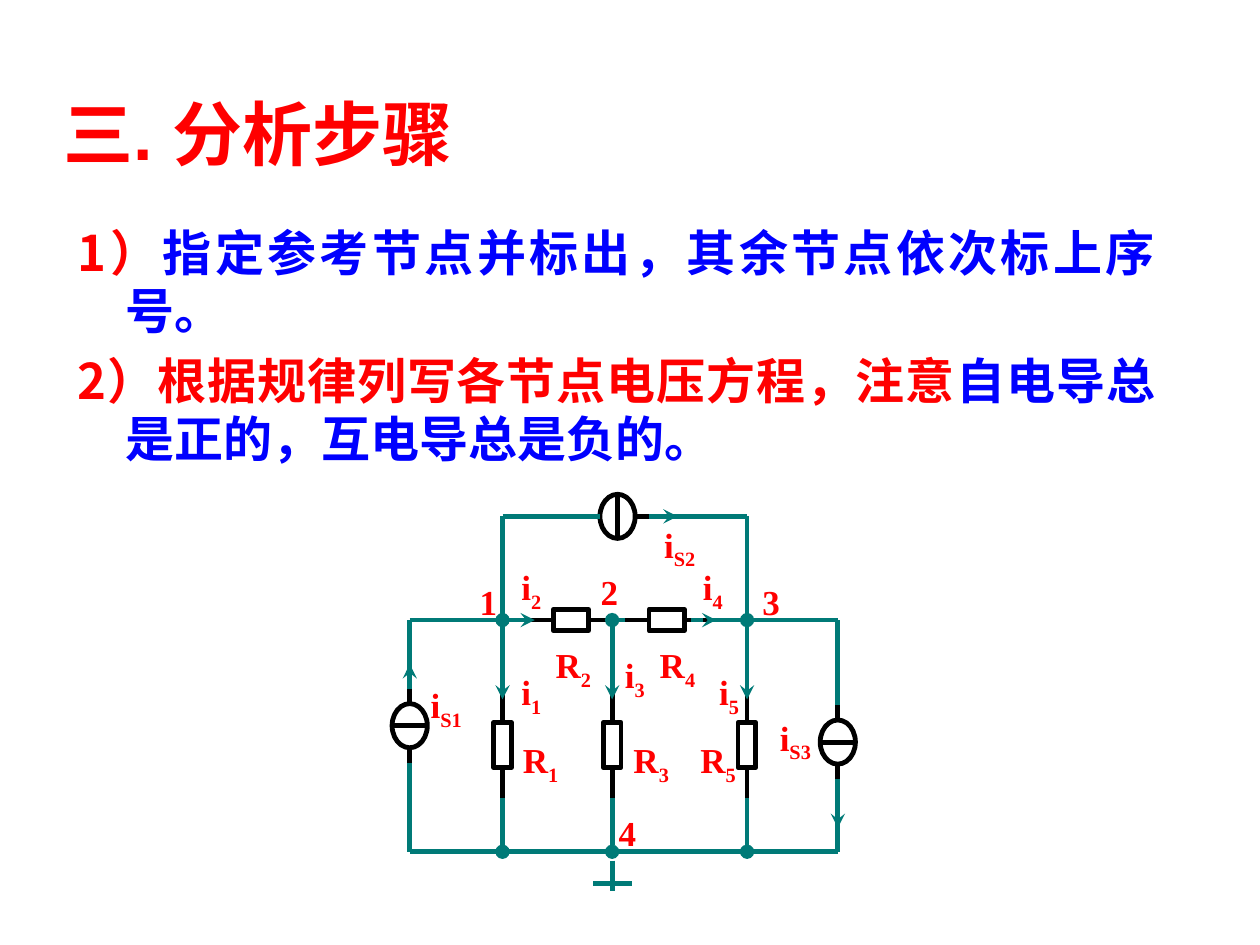
from lxml.etree import SubElement
from pptx import Presentation
from pptx.dml.color import RGBColor
from pptx.enum.shapes import MSO_CONNECTOR as Conn, MSO_SHAPE as Kind
from pptx.enum.text import MSO_ANCHOR as Anchor, PP_ALIGN as Align
from pptx.oxml.ns import qn
from pptx.util import Cm, Pt

RED, BLUE, TEAL, BLACK, WHITE = "FF0000", "0000FF", "007A77", "000000", "FFFFFF"
SANS, SERIF = "Noto Sans CJK SC", "Times New Roman"

TITLE = [[("三. 分析步骤", RED)]]
STEPS = [
    [("1）", RED), ("指定参考节点并标出，其余节点依次标上序号。", BLUE)],
    [("2）根据规律列写各节点电压方程，注意", RED),
     ("自电导总是正的，互电导总是负的。", BLUE)],
]
# letter, subscript, left, top, width
LABELS = [
    ("R", "1", 10.29, 14.76, 1.22), ("R", "2", 10.95, 12.85, 1.22),
    ("R", "3", 12.52, 14.76, 1.22), ("R", "4", 13.05, 12.85, 1.22),
    ("R", "5", 13.87, 14.76, 1.22),
    ("i", "1", 10.26, 13.39, 1.57), ("i", "2", 10.26, 11.28, 1.57),
    ("i", "3", 12.35, 13.05, 1.57), ("i", "4", 13.92, 11.28, 1.55),
    ("i", "5", 14.25, 13.39, 2.9),
    ("i", "S1", 8.43, 13.65, 1.83), ("i", "S2", 13.14, 10.42, 1.83),
    ("i", "S3", 15.47, 14.31, 1.83),
    ("1", "", 9.42, 11.58, 0.86), ("2", "", 11.86, 11.38, 0.86),
    ("3", "", 15.12, 11.58, 0.86), ("4", "", 12.22, 16.23, 0.86),
]

# Circuit grid, cm
LEFT, NODE1, NODE2, NODE3, RIGHT = 8.26, 10.13, 12.34, 15.06, 16.89
TOP, MID, LOW = 10.41, 12.5, 17.17
SRC_X = 12.45     # centre of the top source
BRANCH_Y = 15.02  # centre of the upright resistors

prs = Presentation()
prs.slide_width, prs.slide_height = Cm(25.4), Cm(19.05)
slide = prs.slides.add_slide(prs.slide_layouts[6])


def tint(code):
    return RGBColor.from_string(code)


def write(paras, x, y, w, h, size=20, font=SERIF, east=SANS, wrap=True,
          anchor=Anchor.TOP, align=Align.LEFT, hang=0, gap=0, lead=None):
    """Add a text box; each paragraph is a list of (text, colour[, is_sub])."""
    frame = slide.shapes.add_textbox(Cm(x), Cm(y), Cm(w), Cm(h)).text_frame
    frame.word_wrap, frame.vertical_anchor = wrap, anchor
    for n, runs in enumerate(paras):
        para = frame.add_paragraph() if n else frame.paragraphs[0]
        para.alignment = align
        if lead:
            para.line_spacing = Pt(lead)
        if n:
            para.space_before = Pt(gap)
        if hang:
            props = para._p.get_or_add_pPr()
            props.set("marL", str(Cm(hang)))
            props.set("indent", str(-Cm(hang)))
            props.set("hangingPunct", "0")
        for text, code, *sub in runs:
            run = para.add_run()
            run.text = text
            run.font.size, run.font.bold, run.font.name = Pt(size), True, font
            run.font.color.rgb = tint(code)
            props = run._r.get_or_add_rPr()
            SubElement(props, qn("a:ea"), typeface=east)
            if sub:
                props.set("baseline", "-25000")


def line(x1, y1, x2, y2, code=TEAL, head=None, tail=None):
    link = slide.shapes.add_connector(Conn.STRAIGHT, Cm(x1), Cm(y1), Cm(x2), Cm(y2))
    link.line.color.rgb, link.line.width = tint(code), Pt(2.75)
    props = link._element.spPr
    for tag, end in (("a:headEnd", head), ("a:tailEnd", tail)):
        if end:
            SubElement(props.find(qn("a:ln")), qn(tag), type=end)
    SubElement(props, qn("a:effectLst"))


def arrow(x1, y1, x2, y2):
    line(x1, y1, x2, y2, tail="stealth")


def block(kind, x, y, w, h):
    """Add a white, black-edged shape centred on x, y."""
    item = slide.shapes.add_shape(kind, Cm(x - w / 2), Cm(y - h / 2), Cm(w), Cm(h))
    item.shadow.inherit = False
    item.fill.solid()
    item.fill.fore_color.rgb = tint(WHITE)
    item.line.color.rgb, item.line.width = tint(BLACK), Pt(2.75)


def source(x, y):
    block(Kind.FLOWCHART_CONNECTOR, x, y, 0.71, 0.89)


write(TITLE, 1.04, 1.83, 21.59, 1.7, size=40, font="Arial", anchor=Anchor.MIDDLE)
write(STEPS, 1.32, 4.39, 22.22, 13.95, size=28, font=SANS,
      align=Align.JUSTIFY, hang=0.97, gap=7, lead=33)

# Outer loop and upper loop
for y in (MID, LOW):
    line(LEFT, y, RIGHT, y)
for x in (LEFT, RIGHT):
    line(x, MID, x, LOW)
for x in (NODE1, NODE3):
    line(x, MID, x, TOP)
line(NODE1, TOP, NODE3, TOP)

# Resistors between the nodes
for x in (11.51, 13.44):
    block(Kind.RECTANGLE, x, MID, 0.71, 0.43)
    for side in (-1, 1):
        line(x + side * 0.36, MID, x + side * 0.84, MID, BLACK)
for x in (10.26, 13.92):
    arrow(x, MID, x + 0.52, MID)

# Branches down to the reference node
for x in (NODE1, NODE2, NODE3):
    line(x, MID, x, LOW, head="oval", tail="oval")
    block(Kind.RECTANGLE, x, BRANCH_Y, 0.36, 0.91)
    for side in (-1, 1):
        line(x, BRANCH_Y + side * 0.46, x, BRANCH_Y + side * 1.06, BLACK)
    arrow(x, 13.44, x, 14.1)

# Current sources
for x, y in ((LEFT, 14.63), (RIGHT, 14.96)):
    source(x, y)
    line(x - 0.36, y, x + 0.36, y, BLACK)
    for side in (-1, 1):
        line(x, y + side * 0.46, x, y + side * 0.75, BLACK)
arrow(LEFT, 13.72, LEFT, 13.39)
arrow(RIGHT, 16.03, RIGHT, 16.69)
source(SRC_X, TOP)
line(SRC_X, TOP - 0.45, SRC_X, TOP + 0.45, BLACK)
line(SRC_X + 0.4, TOP, SRC_X + 0.63, TOP, BLACK)
line(SRC_X - 0.61, TOP, SRC_X - 0.36, TOP)
arrow(13.13, TOP, 13.66, TOP)

# Ground mark
line(NODE2, 17.35, NODE2, 17.96)
line(NODE2 - 0.38, 17.81, NODE2 + 0.41, 17.81)

for name, sub, x, y, w in LABELS:
    runs = [(name, RED)] + ([(sub, RED, True)] if sub else [])
    write([runs], x, y, w, 1.22 if sub else 1.12, wrap=name == "i")

prs.save("out.pptx")
